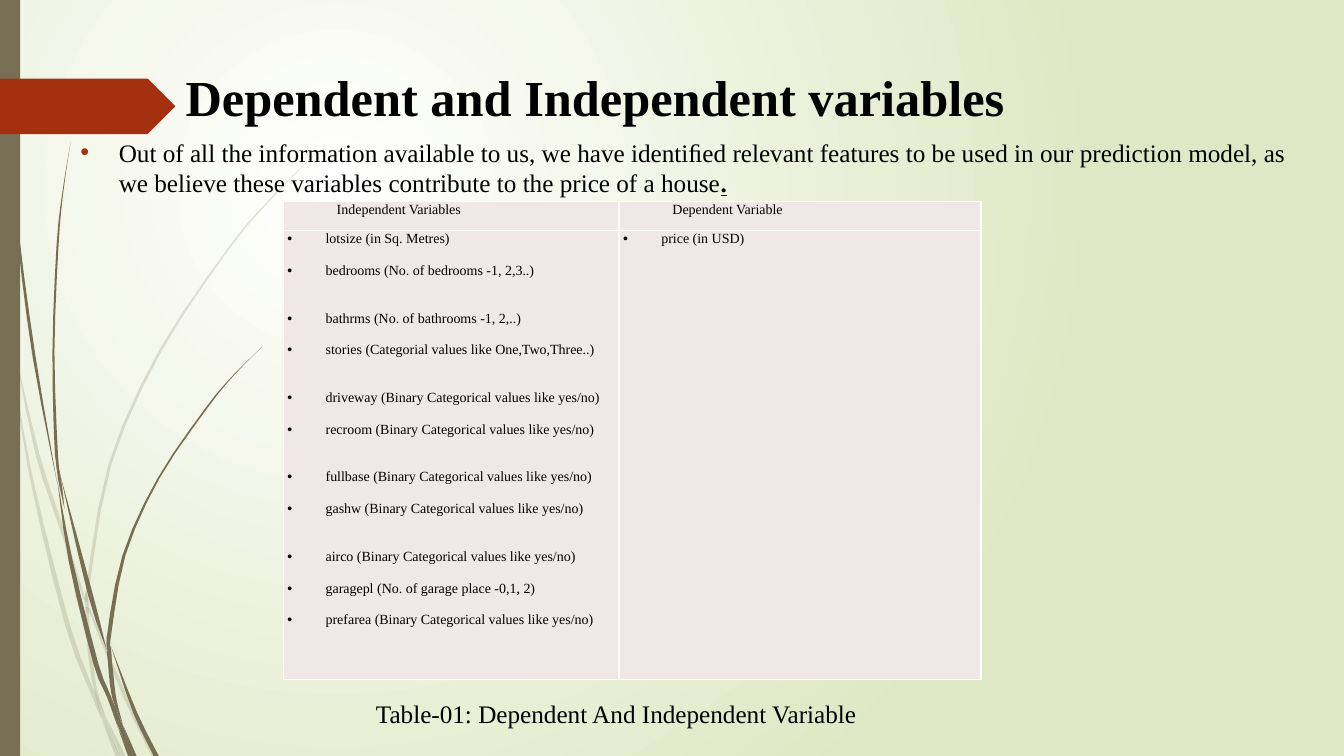
from lxml.etree import SubElement
from pptx import Presentation
from pptx.dml.color import RGBColor
from pptx.enum.shapes import MSO_SHAPE
from pptx.enum.text import MSO_ANCHOR, MSO_AUTO_SIZE, PP_ALIGN
from pptx.oxml import parse_xml
from pptx.oxml.ns import nsdecls, qn
from pptx.util import Inches, Pt

WIDTH, HEIGHT = 13.33, 7.5
FONT = "Times New Roman"
BLACK, WHITE, OLIVE, RED, ROSE = "000000", "FFFFFF", "766F54", "A53010", "F0E8E7"
LINE_GAP = 11.35  # points taken by one line of the table

# Sections of the grass blades: (x, y, width) along the length of each
FAINT_BLADES = [
    [(0, 2.9, .01), (.05, 3.17, .04), (.11, 3.5, 0)],
    [(.14, 3.45, 0), (.37, 4.5, .04), (.6, 5.21, .04), (.84, 5.95, .02)],
    [(.88, 6.03, .02), (1.25, 6.93, .04), (1.53, 7.5, .05)],
    [(1.05, 7.11, 0), (1.22, 7.5, .05)],
    [(.11, 3.5, 0), (.3, 4.69, .03), (.67, 6.2, .05), (.93, 6.9, .04), (1.01, 7.14, 0)],
    [(.86, 6.02, .03), (.89, 6.46, .04), (.95, 6.85, .03), (1.05, 7.11, 0)],
    [(3.12, 1.53, 0), (2.68, 1.98, .02), (2.28, 2.45, .02), (1.59, 3.48, .03),
     (1.09, 4.61, .03), (.87, 5.84, .03), (.88, 5.96, 0)],
    [(1.01, 7.14, 0), (1.17, 7.5, .05)],
    [(.85, 5.86, 0), (.86, 5.98, .04), (.88, 6.1, 0)],
    [(.93, 6.83, 0), (1.03, 7.12, .04), (1.19, 7.5, 0)],
]
DARK_BLADES = [
    [(.04, 0, .01), (.05, .48, .01), (.08, 1.1, .01), (.18, 2.33, .02),
     (.34, 3.55, .03), (.57, 4.81, 0)],
    [(.6, 4.72, 0), (.9, 5.91, .05), (1.06, 6.45, 0)],
    [(1.1, 6.41, 0), (1.34, 7.07, .04), (1.55, 7.5, .05)],
    [(.57, 4.77, 0), (.7, 5.56, .04), (.95, 6.58, .05), (1.08, 6.91, .04), (1.17, 7.22, 0)],
    [(.7, 1.41, 0), (.62, 1.93, .01), (.57, 2.45, .02), (.53, 3.49, .02),
     (.56, 4.51, .03), (.6, 4.72, 0)],
    [(1.22, 7.19, 0), (1.34, 7.5, .03)],
    [(.55, 4.49, 0), (.59, 4.75, .03), (.64, 5.05, 0)],
    [(2.6, 3.44, 0), (2.31, 3.73, .01), (2.04, 4.06, .02), (1.57, 4.75, .02),
     (1.23, 5.51, .03), (1.08, 6.32, .04), (1.1, 6.41, 0)],
    [(1.17, 7.22, 0), (1.29, 7.5, .04)],
    [(1.06, 6.45, 0), (1.09, 6.56, .04), (1.13, 6.91, .04), (1.22, 7.19, 0)],
    [(1.06, 6.31, 0), (1.08, 6.43, .04), (1.11, 6.56, 0)],
    [(1.1, 6.91, 0), (1.19, 7.19, .05), (1.32, 7.5, .03)],
]

# Independent variables with the number of lines left free above each
INDEPENDENT = [
    ("lotsize (in Sq. Metres)", 0),
    ("bedrooms (No. of bedrooms -1, 2,3..)", 1),
    ("bathrms (No. of bathrooms -1, 2,..)", 2),
    ("stories (Categorial values like One,Two,Three..)", 1),
    ("driveway (Binary Categorical values like yes/no)", 2),
    ("recroom (Binary Categorical values like yes/no)", 1),
    ("fullbase (Binary Categorical values like yes/no)", 2),
    ("gashw (Binary Categorical values like yes/no)", 1),
    ("airco (Binary Categorical values like yes/no)", 2),
    ("garagepl (No. of garage place -0,1, 2)", 1),
    ("prefarea (Binary Categorical values like yes/no)", 1),
]
DEPENDENT = [("price (in USD)", 0)]


def color(value):
    return RGBColor.from_string(value)


def add_span(para, text, size=18, bold=False, underline=False):
    span = para.add_run()
    span.text = text
    font = span.font
    font.name, font.size, font.bold, font.underline = FONT, Pt(size), bold, underline
    font.color.rgb = color(BLACK)


def indent(para, margin, first, bullet=False, bullet_color=BLACK):
    props = para._p.get_or_add_pPr()
    props.set("marL", str(Inches(margin)))
    props.set("indent", str(Inches(first)))
    if bullet:
        fill = SubElement(SubElement(props, qn("a:buClr")), qn("a:srgbClr"))
        fill.set("val", bullet_color)
        SubElement(props, qn("a:buFont")).set("typeface", "Arial")
        SubElement(props, qn("a:buChar")).set("char", "•")


def paint(shape, fill, alpha=None):
    shape.shadow.inherit = False
    shape.fill.solid()
    shape.fill.fore_color.rgb = color(fill)
    shape.line.fill.background()
    if alpha:
        tint = shape._element.spPr.find(qn("a:solidFill")).find(qn("a:srgbClr"))
        SubElement(tint, qn("a:alpha")).set("val", str(alpha * 1000))


def smooth(points, steps=3):
    """Catmull-Rom curve through the points."""
    ends = [points[0], *points, points[-1]]
    curve = []
    for a, b, c, d in zip(ends, ends[1:], ends[2:], ends[3:]):
        for step in range(steps):
            t = step / steps
            curve.append([
                (2 * q + (r - p) * t + (2 * p - 5 * q + 4 * r - s) * t ** 2
                 + (3 * q - p - 3 * r + s) * t ** 3) / 2
                for p, q, r, s in zip(a, b, c, d)])
    return curve + [points[-1]]


def draw_blade(page, points, alpha=None):
    curve = smooth(points)
    left = [(Inches(x - w / 2), Inches(y)) for x, y, w in curve]
    right = [(Inches(x + w / 2), Inches(y)) for x, y, w in reversed(curve)]
    start, *rest = left + right
    builder = page.shapes.build_freeform(*start)
    builder.add_line_segments(rest, close=True)
    paint(builder.convert_to_shape(), OLIVE, alpha)


def draw_backdrop(page):
    page.background.fill.solid()
    props = page._element.cSld.find(qn("p:bg")).find(qn("p:bgPr"))
    props.replace(props[0], parse_xml(
        f'<a:gradFill {nsdecls("a")} rotWithShape="1"><a:gsLst>'
        f'<a:gs pos="0"><a:srgbClr val="{WHITE}"/></a:gs>'
        '<a:gs pos="100000"><a:srgbClr val="DFE8C4"/></a:gs></a:gsLst>'
        '<a:path path="circle"><a:fillToRect l="50000" t="50000" '
        'r="100000" b="100000"/></a:path></a:gradFill>'))
    for points in FAINT_BLADES:
        draw_blade(page, points, alpha=20)
    for points in DARK_BLADES:
        draw_blade(page, points)
    bar = page.shapes.add_shape(MSO_SHAPE.RECTANGLE, 0, 0, Inches(.2), Inches(HEIGHT))
    paint(bar, OLIVE)
    tag = page.shapes.add_shape(
        MSO_SHAPE.PENTAGON, 0, Inches(.78), Inches(1.74), Inches(.55))
    paint(tag, RED)


def place_title(page, left, top, width, height):
    title = page.shapes.title
    title.left, title.top = Inches(left), Inches(top)
    title.width, title.height = Inches(width), Inches(height)
    frame = title.text_frame
    frame.auto_size, frame.vertical_anchor = MSO_AUTO_SIZE.NONE, MSO_ANCHOR.TOP
    frame.paragraphs[0].alignment = PP_ALIGN.LEFT
    add_span(frame.paragraphs[0], "Dependent and Independent variables", 36, bold=True)


def add_text(page, left, top, width, height, wrap=True):
    box = page.shapes.add_textbox(
        Inches(left), Inches(top), Inches(width), Inches(height))
    box.text_frame.word_wrap = wrap
    return box.text_frame.paragraphs[0]


def border(cell):
    props = cell._tc.get_or_add_tcPr()
    for place, side in enumerate(("lnL", "lnR", "lnT", "lnB")):
        props.insert(place, parse_xml(
            f'<a:{side} {nsdecls("a")} w="12700"><a:solidFill>'
            f'<a:srgbClr val="{WHITE}"/></a:solidFill></a:{side}>'))


def fill_cell(cell, entries, bullet):
    cell.margin_left = cell.margin_right = Inches(.04)
    cell.margin_top = cell.margin_bottom = 0
    cell.fill.solid()
    cell.fill.fore_color.rgb = color(ROSE)
    border(cell)
    frame = cell.text_frame
    for number, (text, free_lines) in enumerate(entries):
        para = frame.add_paragraph() if number else frame.paragraphs[0]
        para.line_spacing = 1.03
        if free_lines:
            para.space_before = Pt(free_lines * LINE_GAP)
        indent(para, *((.38, -.38) if bullet else (.5, -.01)), bullet=bullet)
        add_span(para, text, 10)


def add_variables(page, left, top, columns, rows):
    table = page.shapes.add_table(
        2, 2, Inches(left), Inches(top), Inches(sum(columns)), Inches(sum(rows))).table
    for column, width in zip(table.columns, columns):
        column.width = Inches(width)
    for row, height in zip(table.rows, rows):
        row.height = Inches(height)
    lists = [("Independent Variables", INDEPENDENT), ("Dependent Variable", DEPENDENT)]
    for number, (heading, entries) in enumerate(lists):
        fill_cell(table.cell(0, number), [(heading, 0)], bullet=False)
        fill_cell(table.cell(1, number), entries, bullet=True)


def main():
    deck = Presentation()
    deck.slide_width, deck.slide_height = Inches(WIDTH), Inches(HEIGHT)
    page = deck.slides.add_slide(deck.slide_layouts[5])
    draw_backdrop(page)
    place_title(page, 1.74, .61, 9.05, .71)
    intro = add_text(page, .7, 1.31, 12.16, 6.07)
    indent(intro, .38, -.38, bullet=True, bullet_color=RED)
    add_span(intro, "Out of all the information available to us, we have identiﬁed "
             "relevant features to be used in our prediction model, as we believe "
             "these variables contribute to the price of a house")
    add_span(intro, ".", bold=True, underline=True)
    add_variables(page, 2.81, 2, columns=(3.33, 3.59), rows=(.29, 4.45))
    caption = add_text(page, 3.63, 6.88, 5.02, .4, wrap=False)
    add_span(caption, "Table-01: Dependent And Independent Variable")
    deck.save("out.pptx")


if __name__ == "__main__":
    main()
